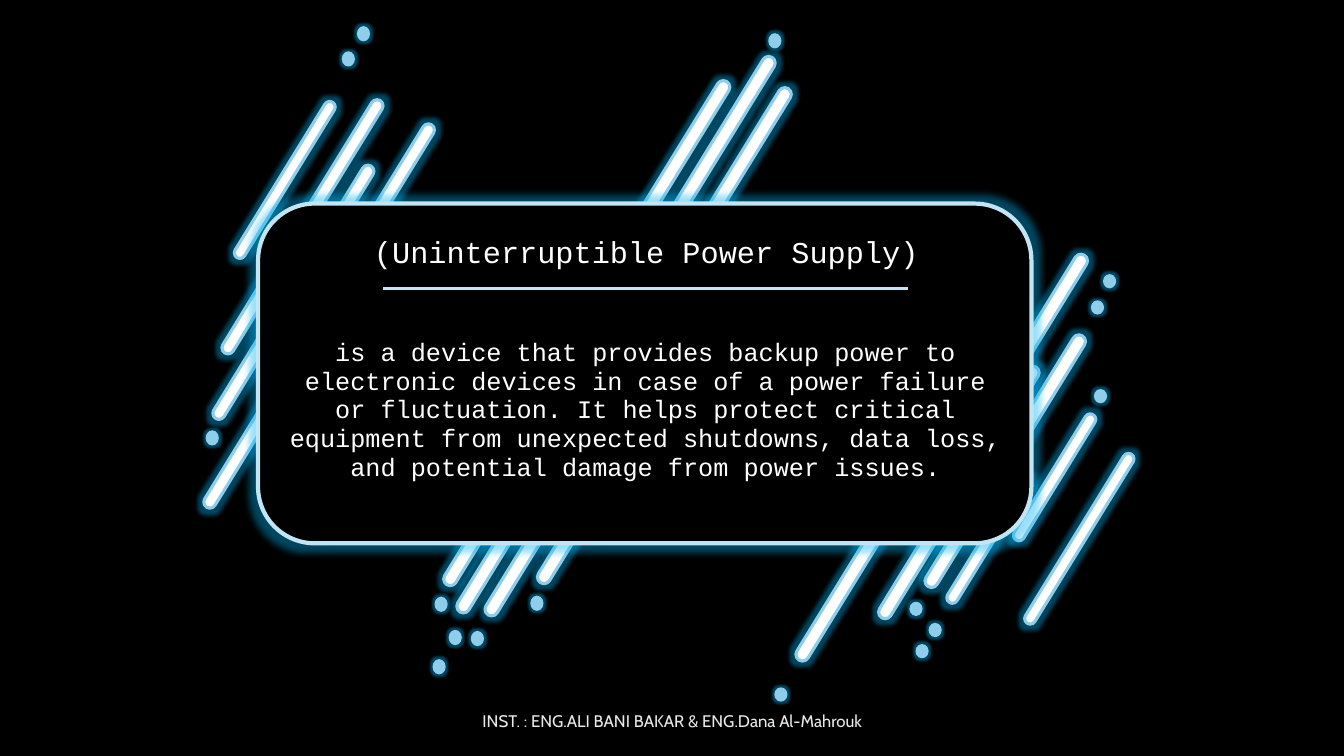
from lxml import etree
from pptx import Presentation
from pptx import util as u
from pptx.dml.color import RGBColor
from pptx.enum import shapes, text
from pptx.oxml.ns import qn

SKY, PALE, WHITE, BLACK = "8ECEEA", "C2E5F4", "FFFFFF", "000000"
GLOW = "00B0F0"
BAR_ANGLE = 301.6

# Each group shares a bar thickness: (left, top, length)
BAR_GROUPS = [
    (0.12, [(1.53, 2.19, 2.94), (2.04, 2.43, 2.94), (1.35, 3.72, 2.94),
            (1.44, 2.84, 2.94)]),
    (0.11, [(1.92, 1.73, 1.81), (9.73, 4.68, 1.46), (9.07, 5.3, 1.46),
            (9.72, 5.29, 1.97)]),
    (0.13, [(7.23, 5.24, 2.92), (8.53, 3.71, 2.92), (8.51, 4.51, 2.92),
            (8.05, 4.82, 2.92)]),
    (0.13, [(4.8, 2.09, 3.16), (5.25, 1.85, 3.16), (3.68, 4.39, 3.16),
            (3.81, 4.66, 3.16), (5.41, 2.16, 3.16), (4.09, 4.69, 3.16),
            (4.61, 4.37, 3.16)]),
]

# Each group shares a dot height: (left, top)
DOT_GROUPS = [
    (0.13, [(3.55, 0.27), (3.4, 0.52), (2.05, 4.28), (4.32, 5.93),
            (4.46, 6.26), (4.3, 6.55), (5.27, 5.92), (4.68, 6.27),
            (7.63, 0.34)]),
    (0.12, [(9.09, 6.4), (10.83, 2.99), (10.95, 2.73), (7.69, 6.83),
            (10.86, 3.87), (9.03, 5.98), (9.22, 6.19)]),
]

DEFINITION = (
    "is a device that provides backup power to electronic devices in case of "
    "a power failure or fluctuation. It helps protect critical equipment from "
    "unexpected shutdowns, data loss, and potential damage from power issues."
)


def color(value):
    return RGBColor.from_string(value)


class NeonSlide:
    """Draws glowing shapes and centred text on one slide."""

    def __init__(self, slide, background):
        self.slide = slide
        fill = slide.background.fill
        fill.solid()
        fill.fore_color.rgb = color(background)

    def glowing_shape(self, kind, place, fill, line, width, radius):
        shape = self.slide.shapes.add_shape(kind, *map(u.Inches, place))
        shape.fill.solid()
        shape.fill.fore_color.rgb = color(fill)
        shape.line.color.rgb = color(line)
        shape.line.width = u.Pt(width)
        shape.shadow.inherit = False
        effects = shape._element.spPr.find(qn("a:effectLst"))
        glow = etree.SubElement(effects, qn("a:glow"), rad=str(u.Pt(radius)))
        tint = etree.SubElement(glow, qn("a:srgbClr"), val=GLOW)
        etree.SubElement(tint, qn("a:alpha"), val="40000")
        return shape

    def bar(self, left, top, length, thickness):
        bar = self.glowing_shape(shapes.MSO_SHAPE.ROUNDED_RECTANGLE,
                                 (left, top, length, thickness),
                                 WHITE, SKY, 2.25, 6)
        bar.adjustments[0] = 0.5
        bar.rotation = BAR_ANGLE

    def dot(self, left, top, height):
        self.glowing_shape(shapes.MSO_SHAPE.OVAL, (left, top, 0.11, height),
                           SKY, SKY, 1.5, 3)

    def card(self, *place):
        self.glowing_shape(shapes.MSO_SHAPE.ROUNDED_RECTANGLE, place,
                           BLACK, PALE, 3, 11)

    def rule(self, left, right, top):
        rule = self.slide.shapes.add_connector(
            shapes.MSO_CONNECTOR.STRAIGHT,
            *map(u.Inches, (left, top, right, top)))
        rule.line.color.rgb = color(PALE)
        rule.line.width = u.Pt(2.25)
        etree.SubElement(rule._element.spPr, qn("a:effectLst"))

    def label(self, words, place, size, font="Courier New", ink=WHITE,
              anchor=text.MSO_ANCHOR.MIDDLE, spacing=1.0):
        box = self.slide.shapes.add_textbox(*map(u.Inches, place))
        frame = box.text_frame
        frame.word_wrap = True
        frame.vertical_anchor = anchor
        frame.text = words
        para = frame.paragraphs[0]
        para.alignment = text.PP_ALIGN.CENTER
        para.line_spacing = spacing
        span = para.runs[0]
        span.font.name = font
        span.font.size = u.Pt(size)
        span.font.color.rgb = color(ink)


def main():
    deck = Presentation()
    deck.slide_width, deck.slide_height = u.Inches(13.33), u.Inches(7.5)
    page = NeonSlide(deck.slides.add_slide(deck.slide_layouts[6]), BLACK)

    page.label("INST. : ENG.ALI BANI BAKAR & ENG.Dana Al-Mahrouk",
               (4.42, 6.95, 4.5, 0.4), 12, font="Cabin", ink="EAEAEA")
    for thickness, bars in BAR_GROUPS:
        for left, top, length in bars:
            page.bar(left, top, length, thickness)
    for height, dots in DOT_GROUPS:
        for left, top in dots:
            page.dot(left, top, height)

    page.card(2.56, 2.02, 7.67, 3.37)
    page.rule(3.8, 9.01, 2.86)
    page.label(DEFINITION, (2.74, 3.31, 7.32, 1.53), 18,
               anchor=text.MSO_ANCHOR.TOP, spacing=0.95)
    page.label("(Uninterruptible Power Supply)", (3.58, 2.28, 5.66, 0.47),
               21.6, spacing=0.9)
    deck.save("out.pptx")


if __name__ == "__main__":
    main()
